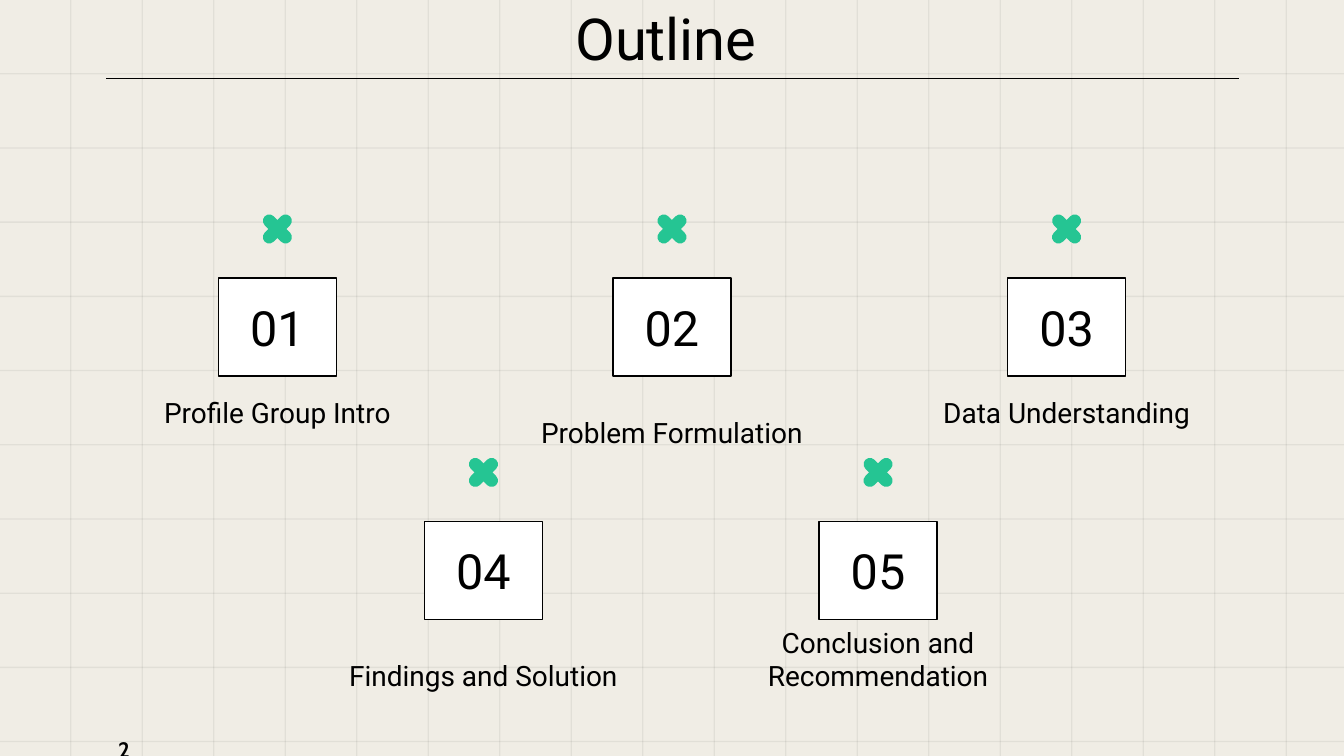
from dataclasses import dataclass

from lxml.etree import SubElement
from pptx import Presentation
from pptx.dml.color import RGBColor
from pptx.enum.shapes import MSO_CONNECTOR, MSO_SHAPE
from pptx.enum.text import MSO_ANCHOR, PP_ALIGN
from pptx.oxml.ns import qn
from pptx.util import Pt


@dataclass(frozen=True)
class Theme:
    paper: RGBColor = RGBColor(0xF0, 0xED, 0xE5)
    ink: RGBColor = RGBColor(0, 0, 0)
    white: RGBColor = RGBColor(255, 255, 255)
    accent: RGBColor = RGBColor(0x25, 0xC5, 0x93)
    grid_alpha: int = 6000
    line: float = 0.75
    font: str = "Roboto"
    page_font: str = "Cabin"
    title: int = 31
    number: int = 26
    caption: int = 15
    page: int = 12


class Deck:
    def __init__(self, s, theme):
        self.s, self.t = s, theme
        s.background.fill.solid()
        s.background.fill.fore_color.rgb = theme.paper

    def shape(self, shapes, kind, x, y, w, h, color):
        sp = shapes.add_shape(kind, Pt(x), Pt(y), Pt(w), Pt(h))
        sp.shadow.inherit = False
        sp.fill.solid()
        sp.fill.fore_color.rgb = color
        sp.line.fill.background()
        return sp

    def grid_line(self, shapes, x, y, w, h):
        sp = self.shape(shapes, MSO_SHAPE.RECTANGLE, x, y, w, h, self.t.ink)
        color = sp._element.spPr.find(qn("a:solidFill")).find(qn("a:srgbClr"))
        SubElement(color, qn("a:alpha"), val=str(self.t.grid_alpha))

    def rule(self, x1, x2, y):
        c = self.s.shapes.add_connector(MSO_CONNECTOR.STRAIGHT, Pt(x1), Pt(y), Pt(x2), Pt(y))
        c.line.color.rgb = self.t.ink
        c.line.width = Pt(self.t.line)
        SubElement(c._element.spPr, qn("a:effectLst"))

    def set_text(self, sp, text, size, anchor, align=PP_ALIGN.CENTER, font=None, bold=False):
        tf = sp.text_frame
        tf.word_wrap = True
        tf.vertical_anchor = anchor
        tf.margin_left = tf.margin_right = tf.margin_top = tf.margin_bottom = Pt(7.2)
        p = tf.paragraphs[0]
        p.text, p.alignment = text, align
        p.font.name, p.font.size, p.font.bold = font or self.t.font, Pt(size), bold
        p.font.color.rgb = self.t.ink

    def text(self, x, y, w, h, *args, **style):
        sp = self.s.shapes.add_textbox(Pt(x), Pt(y), Pt(w), Pt(h))
        self.set_text(sp, *args, **style)

    def number_box(self, cx, y, text):
        w, h = 63.2, 52.4
        sp = self.shape(self.s.shapes, MSO_SHAPE.RECTANGLE, cx - w / 2, y, w, h, self.t.white)
        sp.line.color.rgb = self.t.ink
        sp.line.width = Pt(self.t.line)
        self.set_text(sp, text, self.t.number, MSO_ANCHOR.MIDDLE)

    def cross(self, cx, cy):
        shapes = self.s.shapes.add_group_shape().shapes
        for w, h in ((6.8, 19.2), (19.2, 6.8)):
            sp = self.shape(shapes, MSO_SHAPE.ROUNDED_RECTANGLE,
                            cx - w / 2, cy - h / 2, w, h, self.t.accent)
            sp.adjustments[0] = 0.5
            sp.rotation = 45

    def item(self, cx, y, number, caption, caption_drop):
        self.cross(cx, y - 26.3)
        self.number_box(cx, y, number)
        self.text(cx - 92.2, y + caption_drop, 184.4, 42.5,
                  caption, self.t.caption, MSO_ANCHOR.BOTTOM)


def main():
    prs = Presentation()
    prs.slide_width, prs.slide_height = Pt(720), Pt(405)
    t = Theme()
    deck = Deck(prs.slides.add_slide(prs.slide_layouts[6]), t)

    # Background grid
    grid = deck.s.shapes.add_group_shape().shapes
    for i in range(18):
        deck.grid_line(grid, 37.6 + 38.3 * i, -3.6, 0.75, 412.6)
    for i in range(10):
        deck.grid_line(grid, -7.2, 39.2 + 39.75 * i, 734.4, 0.75)

    # Heading
    deck.rule(57, 663.8, 42.1)
    deck.text(53.3, -5.8, 607, 45.4, "Outline", t.title, MSO_ANCHOR.TOP)

    # Numbered topics: first centre, box top, (caption, caption drop)
    rows = [
        (148.6, 149, [("Profile Group Intro", 45.4), ("Problem Formulation", 56.2),
                      ("Data Understanding", 45.4)]),
        (259, 279.4, [("Findings and Solution", 56.2),
                      ("Conclusion and Recommendation", 56.2)]),
    ]
    number = 1
    for x, y, topics in rows:
        for col, (caption, drop) in enumerate(topics):
            deck.item(x + 211.4 * col, y, f"{number:02}", caption, drop)
            number += 1

    # Page number
    deck.text(56.2, 385.9, 43.2, 31, "2", t.page, MSO_ANCHOR.MIDDLE,
              align=PP_ALIGN.LEFT, font=t.page_font, bold=True)

    prs.save("out.pptx")


if __name__ == "__main__":
    main()
